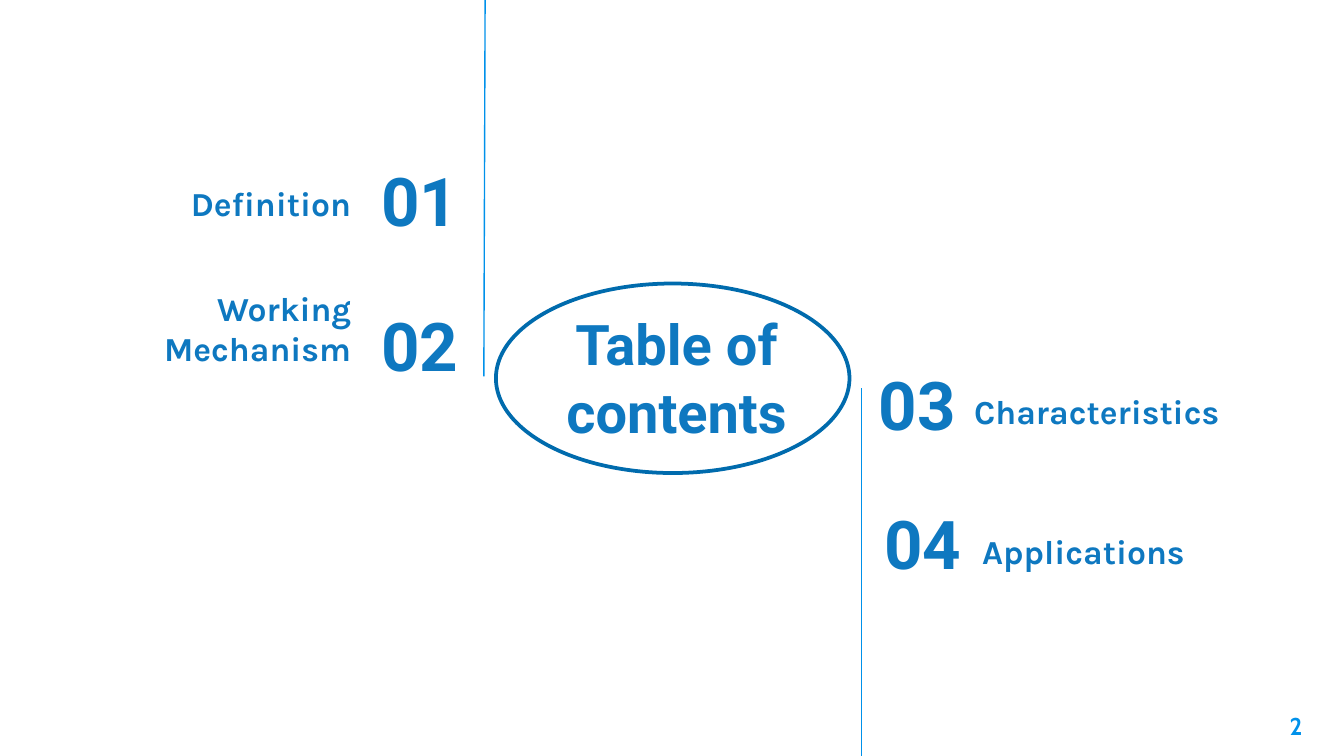
"""Build a table of contents slide with four numbered topics around an oval title."""
import pptx
import pptx.dml.color
import pptx.enum.shapes
import pptx.enum.text
import pptx.oxml.ns
import pptx.util
from lxml import etree

Pt = pptx.util.Pt
ALIGN = pptx.enum.text.PP_ALIGN
ANCHOR = pptx.enum.text.MSO_ANCHOR
BLUE, BRIGHT_BLUE, DARK_BLUE = "0E78C0", "0091EA", "006BAD"


def color(hex_value):
    return pptx.dml.color.RGBColor.from_string(hex_value)


def write_text(shape, text, font="Karla", size=18, fill=BLUE,
               align=ALIGN.LEFT, anchor=ANCHOR.BOTTOM):
    frame = shape.text_frame
    frame.word_wrap = True
    frame.auto_size = pptx.enum.text.MSO_AUTO_SIZE.NONE
    frame.vertical_anchor = anchor
    frame.margin_left = frame.margin_right = Pt(7.2)
    frame.margin_top = frame.margin_bottom = Pt(7.2)
    paragraph = frame.paragraphs[0]
    paragraph.alignment = align
    run = paragraph.add_run()
    run.text = text
    run.font.name = font
    run.font.size = Pt(size)
    run.font.bold = True
    run.font.color.rgb = color(fill)


presentation = pptx.Presentation()
presentation.slide_width, presentation.slide_height = Pt(720), Pt(405)
slide = presentation.slides.add_slide(presentation.slide_layouts[5])
shapes = slide.shapes

title = shapes.title
title.left, title.top, title.width, title.height = Pt(259.2), Pt(165), Pt(206.6), Pt(74)
write_text(title, "Table of contents", font="Roboto", size=30,
           align=ALIGN.CENTER, anchor=ANCHOR.MIDDLE)

topics = [
    ("01", 165.6, 84.2, 87.1, ALIGN.RIGHT, "Definition", 9.4, 81.4, 185.8, ALIGN.RIGHT),
    ("02", 165.6, 162, 87.1, ALIGN.RIGHT, "Working Mechanism", 9.4, 159.1, 185.8, ALIGN.RIGHT),
    ("03", 432, 193.7, 87.1, ALIGN.RIGHT, "Characteristics", 514.8, 193, 165.6, ALIGN.LEFT),
    ("04", 466.6, 267.8, 84.2, ALIGN.LEFT, "Applications", 519.1, 267.8, 156.2, ALIGN.LEFT),
]
for (number, number_left, number_top, number_width, number_align,
     topic, topic_left, topic_top, topic_width, topic_align) in topics:
    number_box = shapes.add_textbox(Pt(number_left), Pt(number_top), Pt(number_width), Pt(45.4))
    write_text(number_box, number, font="Roboto", size=36,
               align=number_align, anchor=ANCHOR.MIDDLE)
    topic_box = shapes.add_textbox(Pt(topic_left), Pt(topic_top), Pt(topic_width), Pt(45.4))
    write_text(topic_box, topic, align=topic_align)

for start_x, start_y, end_x, end_y in [(259.9, 0, 259.2, 201.6), (461.5, 208.1, 461.5, 405)]:
    divider = shapes.add_connector(pptx.enum.shapes.MSO_CONNECTOR.STRAIGHT,
                                   Pt(start_x), Pt(start_y), Pt(end_x), Pt(end_y))
    divider.line.color.rgb = color(BRIGHT_BLUE)
    divider.line.width = Pt(0.75)
    etree.SubElement(divider._element.spPr, pptx.oxml.ns.qn("a:effectLst"))

oval = shapes.add_shape(pptx.enum.shapes.MSO_SHAPE.OVAL,
                        Pt(265.7), Pt(151.9), Pt(189.4), Pt(101.5))
oval.shadow.inherit = False
oval.fill.background()
oval.line.color.rgb = color(DARK_BLUE)
oval.line.width = Pt(2)

page_number = shapes.add_textbox(Pt(661.7), Pt(373.7), Pt(43.2), Pt(31))
write_text(page_number, "2", font="Cabin", size=13, fill=BRIGHT_BLUE,
           align=ALIGN.RIGHT, anchor=ANCHOR.TOP)

presentation.save("out.pptx")
